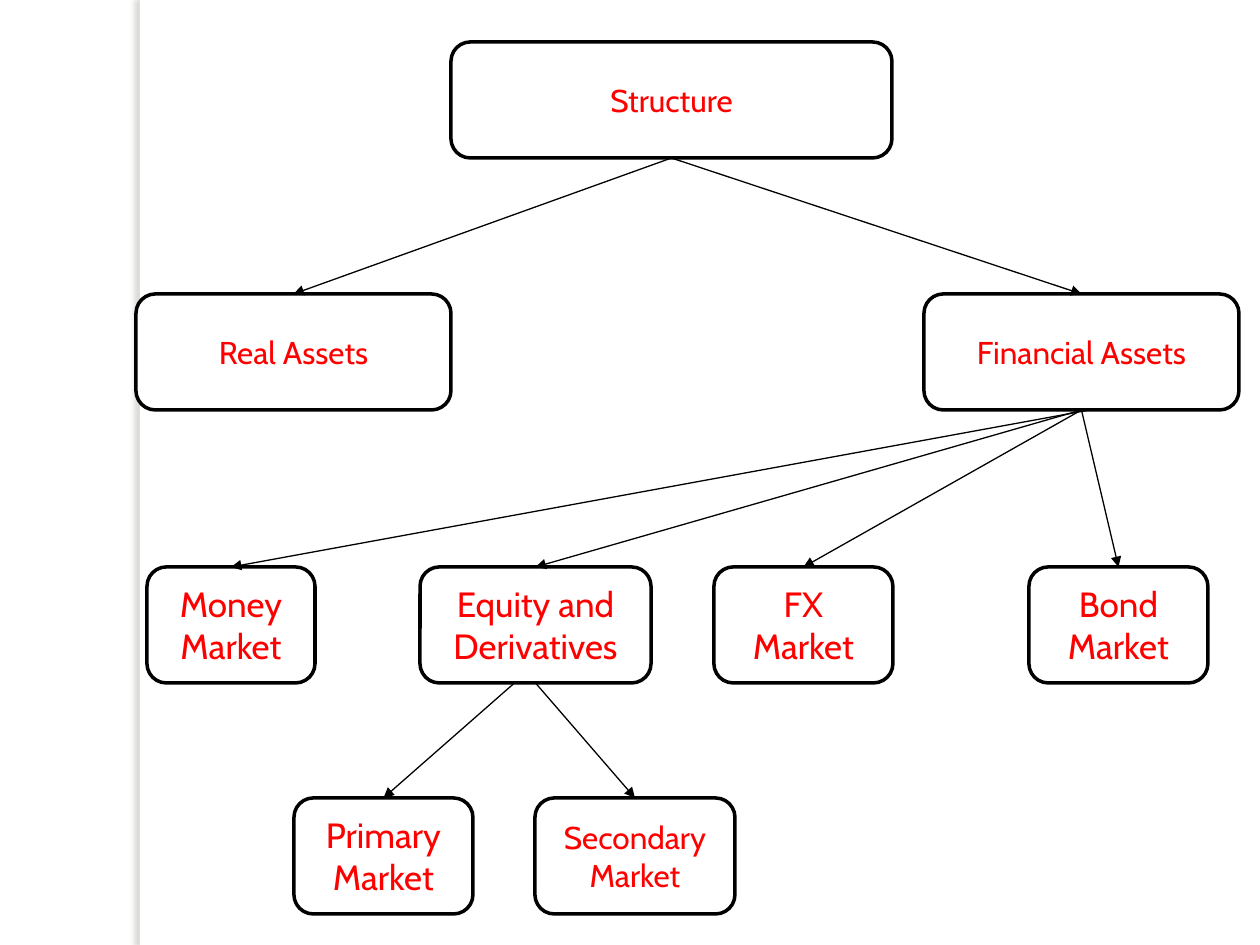
"""Builds a one-slide tree of asset and market types."""
from lxml import etree
from pptx import Presentation
from pptx import util as u
from pptx.dml.color import RGBColor
from pptx.enum import shapes, text
from pptx.oxml import parse_xml
from pptx.oxml.ns import nsdecls, qn

SCALE = 914400 / 126
COLORS = {"paper": "FFFFFF", "ink": "000000", "label": "FF0000", "shade": "736F63"}
BOX_H = 116
LEVELS = [42, 294, 567, 798]
BOXES = {
    "Structure": (451, 0, 441, 18),
    "Money Market": (147, 2, 168, 20),
    "Financial Assets": (924, 1, 315, 18),
    "Equity and Derivatives": (420, 2, 231, 20),
    "Real Assets": (136, 1, 315, 18),
    "FX Market": (714, 2, 179, 20),
    "Bond Market": (1029, 2, 179, 20),
    "Secondary Market": (535, 3, 200, 18),
    "Primary Market": (294, 3, 179, 20),
}
LINKS = [
    ("Structure", "Real Assets", 0),
    ("Structure", "Financial Assets", 0),
    ("Financial Assets", "Money Market", 8),
    ("Financial Assets", "Equity and Derivatives", 0),
    ("Financial Assets", "FX Market", 0),
    ("Financial Assets", "Bond Market", 0),
    ("Equity and Derivatives", "Secondary Market", 0),
    ("Equity and Derivatives", "Primary Market", -21),
]


def px(n):
    return u.Emu(round(n * SCALE))


def rgb(name):
    return RGBColor.from_string(COLORS[name])


class Deck:
    def __init__(self, width, height):
        self.prs = Presentation()
        self.prs.slide_width, self.prs.slide_height = px(width), px(height)
        self.s = self.prs.slides.add_slide(self.prs.slide_layouts[6])
        self.frame = {"word_wrap": True, "vertical_anchor": text.MSO_ANCHOR.MIDDLE}
        self.font = {"name": "Cabin", "bold": False}

    def shape(self, kind, x, y, w, h):
        sp = self.s.shapes.add_shape(kind, px(x), px(y), px(w), px(h))
        sp.shadow.inherit = False
        sp.fill.solid()
        sp.fill.fore_color.rgb = rgb("paper")
        return sp

    def strip(self, x, y, w, h):
        sp = self.shape(shapes.MSO_SHAPE.RECTANGLE, x, y, w, h)
        sp.line.fill.background()
        effects = sp._element.spPr.find(qn("a:effectLst"))
        effects.append(parse_xml(
            f'<a:outerShdw {nsdecls("a")} blurRad="{u.Pt(3)}" dist="{u.Pt(3)}" '
            f'dir="10800000" algn="tl" rotWithShape="0"><a:srgbClr val="{COLORS["shade"]}">'
            '<a:alpha val="25000"/></a:srgbClr></a:outerShdw>'))

    def box(self, label, x, y, w, h, size):
        sp = self.shape(shapes.MSO_SHAPE.ROUNDED_RECTANGLE, x, y, w, h)
        sp.line.color.rgb, sp.line.width = rgb("ink"), u.Pt(2)
        tf = sp.text_frame
        for key, value in self.frame.items():
            setattr(tf, key, value)
        p = tf.paragraphs[0]
        p.alignment = text.PP_ALIGN.CENTER
        r = p.add_run()
        r.text = label
        for key, value in {**self.font, "size": u.Pt(size)}.items():
            setattr(r.font, key, value)
        r.font.color.rgb = rgb("label")
        return sp

    def arrow(self, parent, child, shift):
        start = parent.left + parent.width // 2 + px(shift)
        end = child.left + child.width // 2
        c = self.s.shapes.add_connector(
            shapes.MSO_CONNECTOR.STRAIGHT, start, parent.top + parent.height, end, child.top)
        c.line.color.rgb, c.line.width = rgb("ink"), u.Pt(0.75)
        etree.SubElement(c.line._get_or_add_ln(), qn("a:tailEnd"), type="triangle")
        etree.SubElement(c._element.spPr, qn("a:effectLst"))


def main():
    deck = Deck(1260, 945)
    deck.strip(140, 0, 10, 945)
    nodes = {label: deck.box(label, x, LEVELS[level], w, BOX_H, size)
             for label, (x, level, w, size) in BOXES.items()}
    for parent, child, shift in LINKS:
        deck.arrow(nodes[parent], nodes[child], shift)
    deck.prs.save("out.pptx")


if __name__ == "__main__":
    main()
